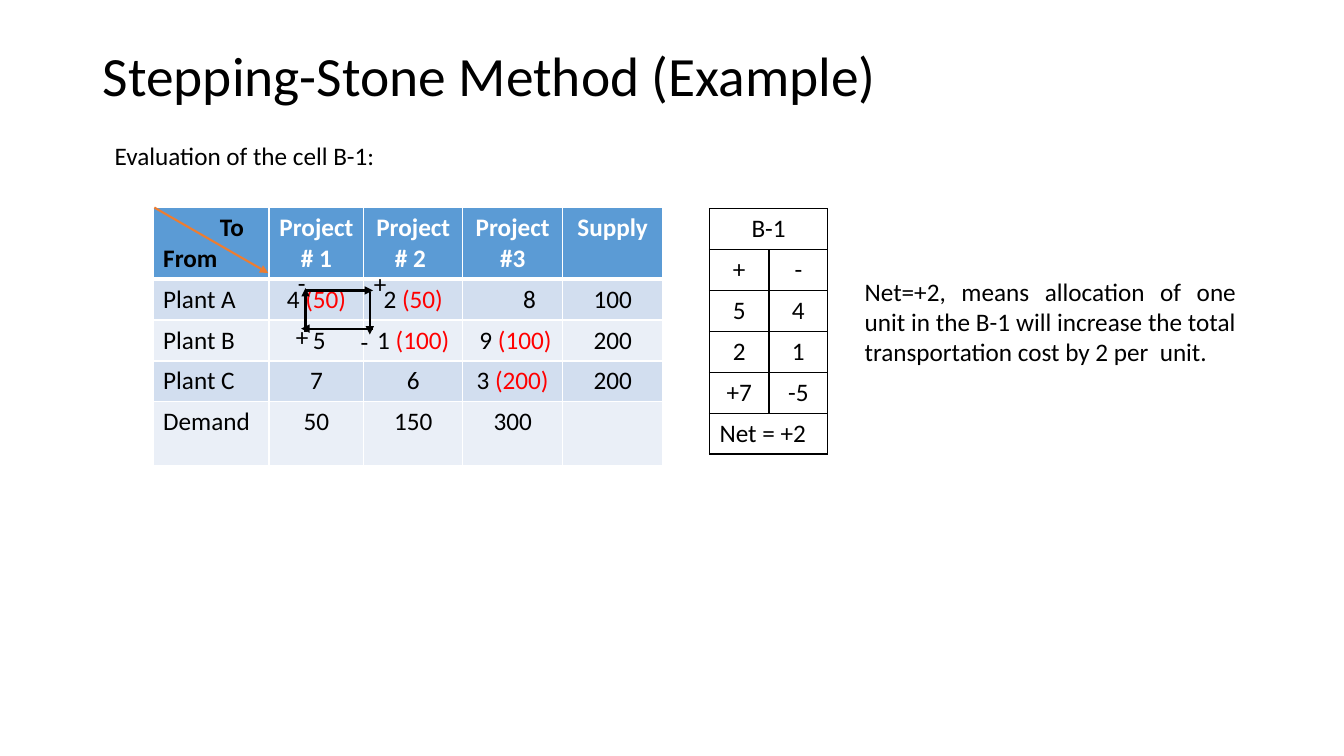
from dataclasses import dataclass
from typing import NamedTuple

from pptx import Presentation
from pptx.dml.color import RGBColor as Rgb
from pptx.enum.shapes import MSO_CONNECTOR as Link
from pptx.enum.text import MSO_ANCHOR as Anchor, PP_ALIGN as Align
from pptx.oxml import parse_xml
from pptx.oxml.ns import nsdecls, qn
from pptx.util import Cm, Pt


@dataclass(frozen=True)
class Theme:
    font: str = "Calibri"
    title: float = 39.6
    body: float = 18
    ink: str = "000000"
    paper: str = "FFFFFF"
    head: str = "5B9BD5"
    bands: tuple = ("D2DEEF", "EAEFF7")
    red: str = "FF0000"
    slash: str = "ED7D31"


class Arrow(NamedTuple):
    x1: float
    y1: float
    x2: float
    y2: float
    color: str


class Label(NamedTuple):
    text: str
    x: float
    y: float
    w: float
    h: float = 1.03
    align: Align = Align.LEFT
    wrap: bool = True


class Grid(NamedTuple):
    x: float
    y: float
    cols: tuple
    rows: tuple
    cells: tuple


LOOK = Theme()

COSTS = Grid(3.86, 5.23, (2.92, 2.39, 2.49, 2.52, 2.52), (1.63, 0.91, 0.91, 0.91, 1.6), (
    ("To\nFrom", "Project # 1", "Project # 2 ", "Project #3", "Supply"),
    ("Plant A", "4 (50)", "2 (50)", "8", "100"),
    ("Plant B", " 5", "1 (100)", " 9 (100)", "200"),
    ("Plant C", "7", "6", "3 (200)", "200"),
    ("Demand", "50", "150", "300", ""),
))

CHECK = Grid(17.88, 5.26, (1.5, 1.48), (1.03,) * 6, (
    ("B-1", ""), ("+", "-"), ("5", "4"), ("2", "1"), ("+7", "-5"), ("Net = +2", ""),
))

ARROWS = (
    Arrow(3.89, 5.23, 6.76, 6.88, LOOK.slash),
    Arrow(9.4, 8.28, 7.59, 8.28, LOOK.ink),
    Arrow(9.32, 7.37, 9.32, 8.43, LOOK.ink),
    Arrow(7.7, 7.32, 9.4, 7.32, LOOK.ink),
    Arrow(7.7, 8.36, 7.7, 7.26, LOOK.ink),
)

LABELS = (
    Label("+", 7.21, 7.98, 0.89),
    Label("+", 9.17, 6.63, 0.74),
    Label("-", 8.84, 8.1, 0.64),
    Label("-", 7.26, 6.6, 0.84),
    Label("Evaluation of the cell B-1:", 2.64, 3.4, 7.19, wrap=False),
    Label("Net=+2, means allocation of one unit in the B-1 will increase the total "
          "transportation cost by 2 per  unit.", 21.54, 6.83, 9.86, 3.33, Align.JUSTIFY),
)


def style(run, size: float = LOOK.body, color: str = LOOK.ink, bold: bool = False) -> None:
    font = run.font
    font.name, font.size, font.bold = LOOK.font, Pt(size), bold
    font.color.rgb = Rgb.from_string(color)


def indent(par, left: float) -> None:
    par._p.get_or_add_pPr().set("marL", str(Cm(left)))


def border(cell, side: str, color: str, width: float) -> None:
    line = parse_xml(
        f'<a:ln{side} {nsdecls("a")} w="{Pt(width)}"><a:solidFill>'
        f'<a:srgbClr val="{color}"/></a:solidFill></a:ln{side}>')
    props = cell._tc.get_or_add_tcPr()
    props.insert(sum("}ln" in kid.tag for kid in props), line)


def fill(cell, text: str, align: Align, color: str = LOOK.ink, bold: bool = False) -> None:
    """Write a cell; an amount in brackets turns red."""
    base, mark, rest = text.partition("(")
    cell.text_frame.text = base
    for par in cell.text_frame.paragraphs:
        par.alignment = align
        for run in par.runs:
            style(run, color=color, bold=bold)
    if mark:
        run = cell.text_frame.paragraphs[0].add_run()
        run.text = mark + rest
        style(run, color=LOOK.red)


def add_grid(slide, grid: Grid):
    table = slide.shapes.add_table(
        len(grid.rows), len(grid.cols), Cm(grid.x), Cm(grid.y),
        Cm(sum(grid.cols)), Cm(sum(grid.rows))).table
    table.first_row = table.horz_banding = False
    for col, width in zip(table.columns, grid.cols):
        col.width = Cm(width)
    for row, height in zip(table.rows, grid.rows):
        row.height = Cm(height)
    return table


def add_costs(slide) -> None:
    table = add_grid(slide, COSTS)
    for r, row in enumerate(COSTS.cells):
        for c, text in enumerate(row):
            cell, top = table.cell(r, c), r == 0
            fill(cell, text, Align.CENTER if c else Align.LEFT,
                 LOOK.paper if top and c else LOOK.ink, top)
            cell.fill.solid()
            cell.fill.fore_color.rgb = Rgb.from_string(
                LOOK.head if top else LOOK.bands[(r - 1) % 2])
            for side in "LRTB":
                thick = (top and side == "B") or (r == 1 and side == "T")
                border(cell, side, LOOK.paper, 3 if thick else 1)
    indent(table.cell(0, 0).text_frame.paragraphs[0], 1.43)
    indent(table.cell(1, 3).text_frame.paragraphs[0], 0.85)


def add_check(slide) -> None:
    table = add_grid(slide, CHECK)
    last = len(CHECK.rows) - 1
    for r, row in enumerate(CHECK.cells):
        for c, text in enumerate(row):
            cell = table.cell(r, c)
            fill(cell, text, Align.LEFT if r == last else Align.CENTER)
            cell.fill.background()
            for side in "LRTB":
                border(cell, side, LOOK.ink, 1)
    for r in (0, last):
        table.cell(r, 0).merge(table.cell(r, 1))


def add_arrow(slide, arrow: Arrow) -> None:
    link = slide.shapes.add_connector(
        Link.STRAIGHT, Cm(arrow.x1), Cm(arrow.y1), Cm(arrow.x2), Cm(arrow.y2))
    link.line.width = Pt(1.5)
    link.line.color.rgb = Rgb.from_string(arrow.color)
    props = link._element.spPr
    props.find(qn("a:ln")).append(parse_xml(f'<a:tailEnd {nsdecls("a")} type="triangle"/>'))
    props.append(parse_xml(f'<a:effectLst {nsdecls("a")}/>'))


def add_label(slide, label: Label) -> None:
    frame = slide.shapes.add_textbox(
        Cm(label.x), Cm(label.y), Cm(label.w), Cm(label.h)).text_frame
    frame.word_wrap = label.wrap
    frame.text = label.text
    par = frame.paragraphs[0]
    par.alignment = label.align
    style(par.runs[0])


def add_title(slide, text: str) -> None:
    title = slide.shapes.title
    title.left, title.top, title.width, title.height = Cm(2.34), Cm(1.02), Cm(28.68), Cm(1.9)
    frame = title.text_frame
    frame.text = text
    frame.vertical_anchor = Anchor.MIDDLE
    par = frame.paragraphs[0]
    par.alignment, par.line_spacing = Align.LEFT, 0.9
    style(par.runs[0], LOOK.title)


def main() -> None:
    deck = Presentation()
    deck.slide_width, deck.slide_height = Cm(33.87), Cm(19.05)
    slide = deck.slides.add_slide(deck.slide_layouts[5])
    add_title(slide, "Stepping-Stone Method (Example)")
    # Cost table with the closed path of cell B-1
    add_costs(slide)
    for arrow in ARROWS:
        add_arrow(slide, arrow)
    for label in LABELS:
        add_label(slide, label)
    # Net change
    add_check(slide)
    deck.save("out.pptx")


if __name__ == "__main__":
    main()
